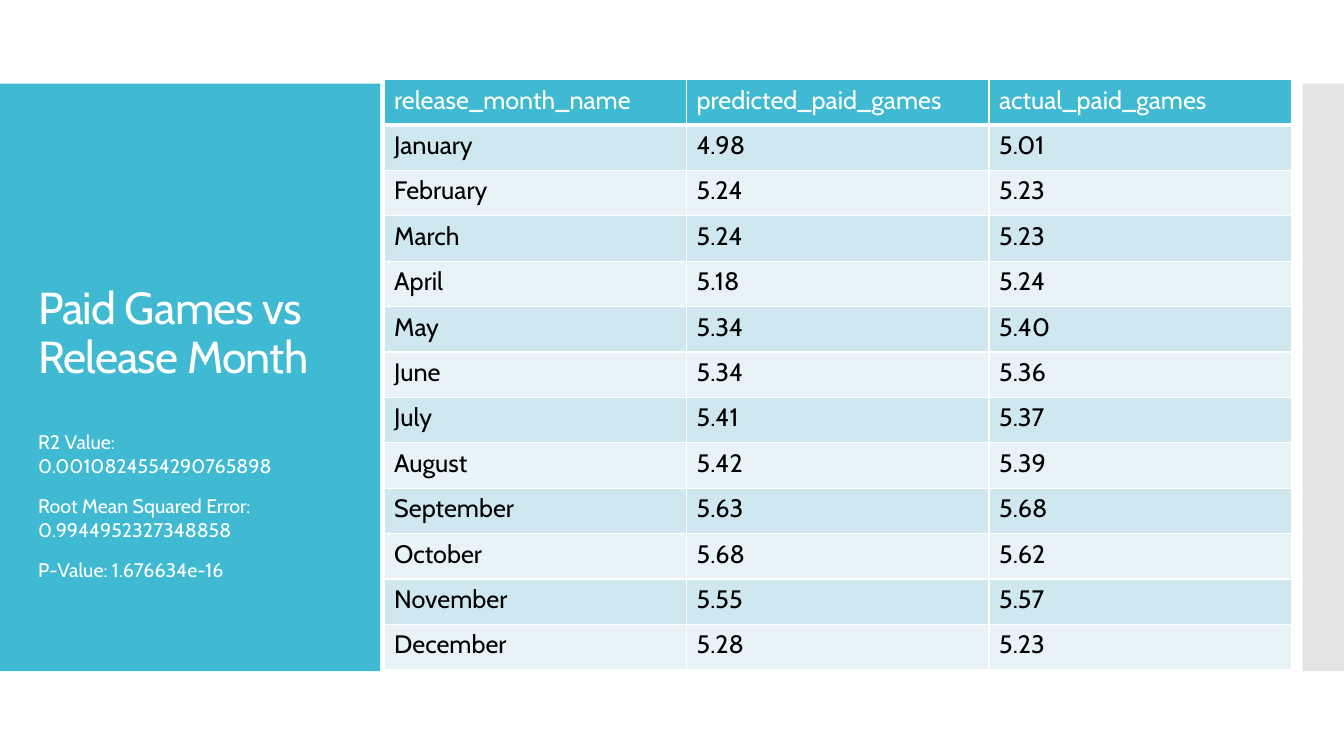
from dataclasses import dataclass

from lxml.etree import SubElement as Sub
from pptx import Presentation
from pptx.dml.color import RGBColor as Rgb
from pptx.enum.shapes import MSO_SHAPE as Kind
from pptx.enum.text import MSO_ANCHOR as Anchor
from pptx.oxml.ns import qn
from pptx.slide import Slide
from pptx.util import Inches, Pt

FONT = "Cabin"
HUES = {
    "teal": "40BAD2",
    "grey": "C8C8C8",
    "white": "FFFFFF",
    "black": "000000",
    "odd": "CFE7EE",
    "even": "E8F3F7",
}
HEADS = ("release_month_name", "predicted_paid_games", "actual_paid_games")
MONTHS = (
    ("January", "4.98", "5.01"),
    ("February", "5.24", "5.23"),
    ("March", "5.24", "5.23"),
    ("April", "5.18", "5.24"),
    ("May", "5.34", "5.40"),
    ("June", "5.34", "5.36"),
    ("July", "5.41", "5.37"),
    ("August", "5.42", "5.39"),
    ("September", "5.63", "5.68"),
    ("October", "5.68", "5.62"),
    ("November", "5.55", "5.57"),
    ("December", "5.28", "5.23"),
)


@dataclass(frozen=True)
class Panel:
    left: float
    width: float
    hue: str
    alpha: int = 100


@dataclass(frozen=True)
class Label:
    lines: tuple[str, ...]
    top: float
    height: float
    size: int
    anchor: Anchor
    lead: float = 1.0
    before: int = 0
    track: int = 0


PANELS = (Panel(0, 3.77, "teal"), Panel(12.92, 0.41, "grey", 50))
LABELS = (
    Label(("Paid Games vs Release Month",), 1.25, 2.6, 32, Anchor.BOTTOM,
          lead=0.9, track=-60),
    Label(
        (
            "R2 Value: 0.0010824554290765898",
            "Root Mean Squared Error: 0.9944952327348858",
            "P-Value: 1.676634e-16",
        ),
        4.22, 2.14, 14, Anchor.TOP, before=12,
    ),
)


def style(para, size: int, hue: str, track: int = 0) -> None:
    for run in para.runs:
        run.font.name = FONT
        run.font.size = Pt(size)
        run.font.color.rgb = Rgb.from_string(HUES[hue])
        if track:
            run.font._element.set("spc", str(track))


def draw_panel(slide: Slide, panel: Panel) -> None:
    shape = slide.shapes.add_shape(
        Kind.RECTANGLE, Inches(panel.left), Inches(0.83),
        Inches(panel.width), Inches(5.83),
    )
    shape.shadow.inherit = False
    shape.line.fill.background()
    shape.fill.solid()
    shape.fill.fore_color.rgb = Rgb.from_string(HUES[panel.hue])
    if panel.alpha < 100:
        tint = shape._element.spPr.find(".//" + qn("a:srgbClr"))
        Sub(tint, qn("a:alpha"), val=str(panel.alpha * 1000))


def draw_label(slide: Slide, label: Label) -> None:
    box = slide.shapes.add_textbox(
        Inches(0.28), Inches(label.top), Inches(3.1), Inches(label.height)
    )
    frame = box.text_frame
    frame.word_wrap = True
    frame.vertical_anchor = label.anchor
    frame.text = "\n".join(label.lines)
    for para in frame.paragraphs:
        para.line_spacing = label.lead
        para.space_before = Pt(label.before)
        style(para, label.size, "white", label.track)


def edge(cell, side: str, width: int) -> None:
    props = cell._tc.get_or_add_tcPr()
    line = Sub(props, qn("a:ln" + side), w=str(Pt(width)))
    fill = Sub(line, qn("a:solidFill"))
    Sub(fill, qn("a:srgbClr"), val=HUES["white"])


def draw_table(slide: Slide) -> None:
    rows = (HEADS, *MONTHS)
    table = slide.shapes.add_table(
        len(rows), len(HEADS), Inches(3.81), Inches(0.79),
        Inches(9), Inches(5.86),
    ).table
    for r, row in enumerate(rows):
        ink = "black" if r else "white"
        back = ("even", "odd")[r % 2] if r else "teal"
        for c, text in enumerate(row):
            cell = table.cell(r, c)
            edge(cell, "L", 1)
            edge(cell, "R", 1)
            edge(cell, "T", 3 if r == 1 else 1)
            edge(cell, "B", 1 if r else 3)
            cell.fill.solid()
            cell.fill.fore_color.rgb = Rgb.from_string(HUES[back])
            cell.text_frame.text = text
            para = cell.text_frame.paragraphs[0]
            style(para, 18, ink)
            para.runs[0].font.bold = False


def main() -> None:
    deck = Presentation()
    deck.slide_width = Inches(13.33)
    deck.slide_height = Inches(7.5)
    slide = deck.slides.add_slide(deck.slide_layouts[6])
    for panel in PANELS:
        draw_panel(slide, panel)
    for label in LABELS:
        draw_label(slide, label)
    draw_table(slide)
    deck.save("out.pptx")


if __name__ == "__main__":
    main()
